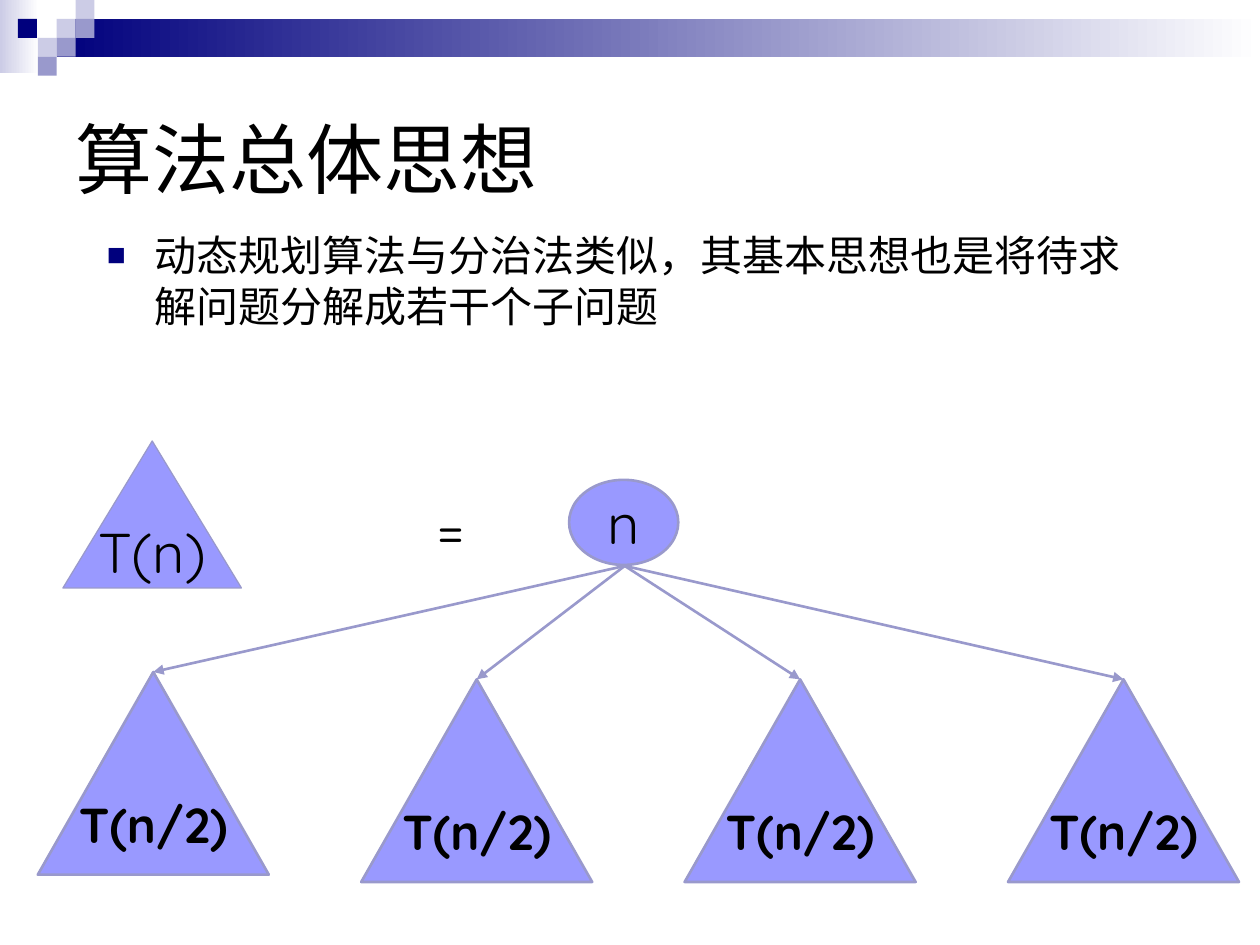
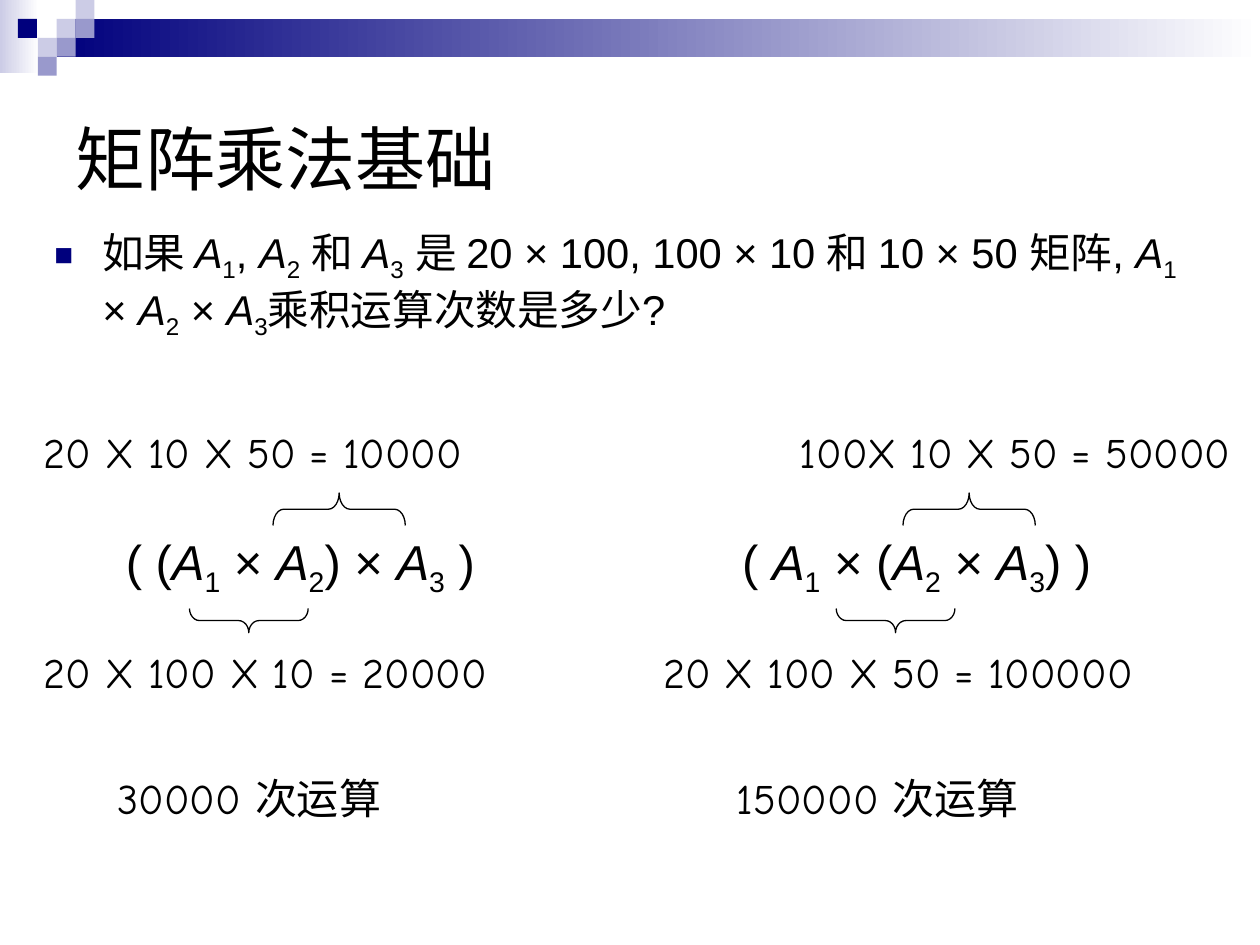
from dataclasses import dataclass

from lxml import etree
from pptx import Presentation
from pptx import util as u
from pptx.dml.color import RGBColor
from pptx.enum import shapes, text
from pptx.oxml.ns import qn

COLS, ROWS = 120, 90
SHAPE = shapes.MSO_SHAPE


@dataclass(frozen=True)
class Theme:
    ink: str = "000000"
    white: str = "FFFFFF"
    navy: str = "00007D"
    mist: str = "CCCCE6"
    slate: str = "9999CC"
    node: str = "9999FF"
    sans: str = "Arial"
    cjk: str = "Noto Sans CJK SC"
    tree: str = "Quicksand"
    hand: str = "Comic Neue"
    title: float = 44
    title_small: float = 40
    symbol: float = 32
    formula: float = 28
    body: float = 24
    body_small: float = 23.8


class Deck:
    def __init__(self, theme):
        self.t = theme
        self.prs = Presentation()
        self.prs.slide_width, self.prs.slide_height = u.Inches(10), u.Inches(7.5)
        self.layout = self.prs.slide_layouts.get_by_name("Title Only")
        self.slide = None

    # Grid and colour helpers
    def x(self, cols):
        return round(self.prs.slide_width * cols / COLS)

    def y(self, rows):
        return round(self.prs.slide_height * rows / ROWS)

    def box(self, left, top, width, height):
        return self.x(left), self.y(top), self.x(width), self.y(height)

    @staticmethod
    def rgb(value):
        return RGBColor.from_string(value)

    # Text helpers
    def style(self, r, size, font, bold=False):
        r.font.size, r.font.name, r.font.bold = u.Pt(size), font, bold
        r.font.color.rgb = self.rgb(self.t.ink)
        etree.SubElement(r.font._element, qn("a:ea"), typeface=self.t.cjk)

    def set_text(self, p, content, size, font, bold=False):
        p.text = content
        for r in p.runs:
            self.style(r, size, font, bold)

    def set_matrices(self, p, content, size):
        """Set each A1, A2, ... as an italic letter with a subscript."""
        def add(part):
            r = p.add_run()
            r.text = part
            self.style(r, size, self.t.sans)
            return r

        first, *rest = content.split("A")
        if first:
            add(first)
        for part in rest:
            add("A").font.italic = True
            add(part[0]).font._element.set("baseline", "-25000")
            if part[1:]:
                add(part[1:])

    # Elements
    def new_slide(self, title, size):
        self.slide = self.prs.slides.add_slide(self.layout)
        sp = self.slide.shapes.title
        sp.left, sp.top, sp.width, sp.height = self.box(6, 6, 108, 18)
        tf = sp.text_frame
        tf.vertical_anchor = text.MSO_ANCHOR.MIDDLE
        tf.auto_size = text.MSO_AUTO_SIZE.NONE
        tf.paragraphs[0].alignment = text.PP_ALIGN.LEFT
        self.set_text(tf.paragraphs[0], title, size, self.t.sans)

    def shape(self, kind, at, fill=None, line=None, weight=1.5):
        sp = self.slide.shapes.add_shape(kind, *self.box(*at))
        sp.shadow.inherit = False
        if isinstance(fill, tuple):
            sp.fill.gradient()
            sp.fill.gradient_angle = 0
            for stop, position, color in zip(sp.fill.gradient_stops, (0, 1), fill):
                stop.position, stop.color.rgb = position, self.rgb(color)
        elif fill:
            sp.fill.solid()
            sp.fill.fore_color.rgb = self.rgb(fill)
        else:
            sp.fill.background()
        if line:
            sp.line.color.rgb, sp.line.width = self.rgb(line), u.Pt(weight)
        else:
            sp.line.fill.background()
        return sp

    def node(self, kind, at, label, size, weight=1.5, bold=False):
        sp = self.shape(kind, at, self.t.node, self.t.slate, weight)
        tf = sp.text_frame
        tf.word_wrap = False
        tf.vertical_anchor = text.MSO_ANCHOR.MIDDLE
        tf.paragraphs[0].alignment = text.PP_ALIGN.CENTER
        self.set_text(tf.paragraphs[0], label, size, self.t.tree, bold)

    def arrow(self, start, end):
        line = self.slide.shapes.add_connector(
            shapes.MSO_CONNECTOR.STRAIGHT,
            self.x(start[0]), self.y(start[1]), self.x(end[0]), self.y(end[1]))
        line.line.color.rgb, line.line.width = self.rgb(self.t.slate), u.Pt(1.5)
        spPr = line._element.spPr
        etree.SubElement(spPr.find(qn("a:ln")), qn("a:tailEnd"), type="triangle")
        etree.SubElement(spPr, qn("a:effectLst"))

    def brace(self, center, span, depth, rotation, curve):
        cx, cy = center
        at = (cx - depth / 2, cy - span / 2, depth, span)
        sp = self.shape(SHAPE.LEFT_BRACE, at, line=self.t.ink, weight=0.75)
        sp.adjustments[0] = curve
        sp.rotation = rotation

    def paragraph(self, at):
        tf = self.slide.shapes.add_textbox(*self.box(*at)).text_frame
        tf.word_wrap = True
        return tf.paragraphs[0]

    def label(self, at, content, size, font, align=text.PP_ALIGN.LEFT):
        p = self.paragraph(at)
        p.alignment = align
        self.set_text(p, content, size, font)

    def bullet(self, at):
        p = self.paragraph(at)
        pPr = p._p.get_or_add_pPr()
        indent = u.Inches(0.38)
        pPr.set("marL", str(indent))
        pPr.set("indent", str(-indent))
        color = etree.SubElement(pPr, qn("a:buClr"))
        etree.SubElement(color, qn("a:srgbClr"), val=self.t.navy)
        etree.SubElement(pPr, qn("a:buSzPct"), val="75000")
        etree.SubElement(pPr, qn("a:buFont"), typeface=self.t.sans)
        etree.SubElement(pPr, qn("a:buChar"), char="■")
        return p

    def band(self):
        """Draw the header band and move it to the shared layout."""
        t, side = self.t, 1.8
        parts = [((0, 0, 3.7, 7), (t.mist, t.white)),
                 ((5.4, side, 114.6, 2 * side), (t.navy, t.white))]
        squares = [(3, 1, t.mist), (4, 0, t.mist), (4, 1, t.slate), (2, 2, t.mist),
                   (0.95, 1, t.navy), (3, 2, t.slate), (2, 3, t.slate)]
        parts += [((col * side, row * side, side, side), color)
                  for col, row, color in squares]
        for at, fill in parts:
            sp = self.shape(SHAPE.RECTANGLE, at, fill)
            self.layout.shapes._spTree.append(sp._element)


def divide_slide(deck):
    t = deck.t
    deck.new_slide("算法总体思想", t.title)
    deck.band()
    deck.set_text(deck.bullet((9, 21.3, 102, 54)),
                  "动态规划算法与分治法类似，其基本思想也是将待求解问题分解成若干个子问题",
                  t.body, t.cjk)

    # Root, arrows and four subproblems
    deck.node(SHAPE.OVAL, (54.2, 45.7, 10.4, 8.1), "n", t.symbol)
    width, height, step = 22, 19.3, 30.8
    leaves = [(3.6 + i * step, 64 if i == 0 else 64.7) for i in range(4)]
    for left, top in leaves:
        deck.arrow((59.5, 53.9), (left + width / 2, top))
    for left, top in leaves:
        deck.node(SHAPE.ISOSCELES_TRIANGLE, (left, top, width, height),
                  "T(n/2)", t.formula, bold=True)

    # Whole problem
    deck.node(SHAPE.ISOSCELES_TRIANGLE, (6, 42, 17, 14), "T(n)", t.symbol, 0.75)
    deck.label((36, 46.4, 14, 7.7), "=", t.symbol, t.tree, text.PP_ALIGN.CENTER)


def matrix_slide(deck):
    t = deck.t
    deck.new_slide("矩阵乘法基础", t.title_small)
    deck.set_matrices(
        deck.bullet((4, 21, 110, 13)),
        "如果 A1, A2 和 A3 是 20 × 100, 100 × 10 和 10 × 50 矩阵, "
        "A1 × A2 × A3乘积运算次数是多少?", t.body_small)

    # Two orders: (left, text) of each line, then the centres of the braces
    orders = [
        ((3, "20 X 10 X 50 = 10000"), (10.8, "( (A1 × A2) × A3 )"),
         (3, "20 X 100 X 10 = 20000"), (10, "30000 次运算"), 32.3, 23.7),
        ((75, "100X 10 X 50 = 50000"), (69.5, "( A1 × (A2 × A3) )"),
         (62, "20 X 100 X 50 = 100000"), (69, "150000 次运算"), 92.3, 85.3),
    ]
    for upper, formula, lower, total, up_x, down_x in orders:
        for (left, content), top, width in ((upper, 40, 45), (lower, 61, 58),
                                            (total, 73, 33)):
            deck.label((left, top, width, 6), content, t.body, t.hand)
        deck.set_matrices(deck.paragraph((formula[0], 50, 36, 7.6)),
                          formula[1], t.formula)
        deck.brace((up_x, 48.5), 12.6, 3.1, 90, 0.33)
        deck.brace((down_x, 59.1), 11.3, 2.3, 270, 0.42)


def main():
    deck = Deck(Theme())
    divide_slide(deck)
    matrix_slide(deck)
    deck.prs.save("out.pptx")


if __name__ == "__main__":
    main()
